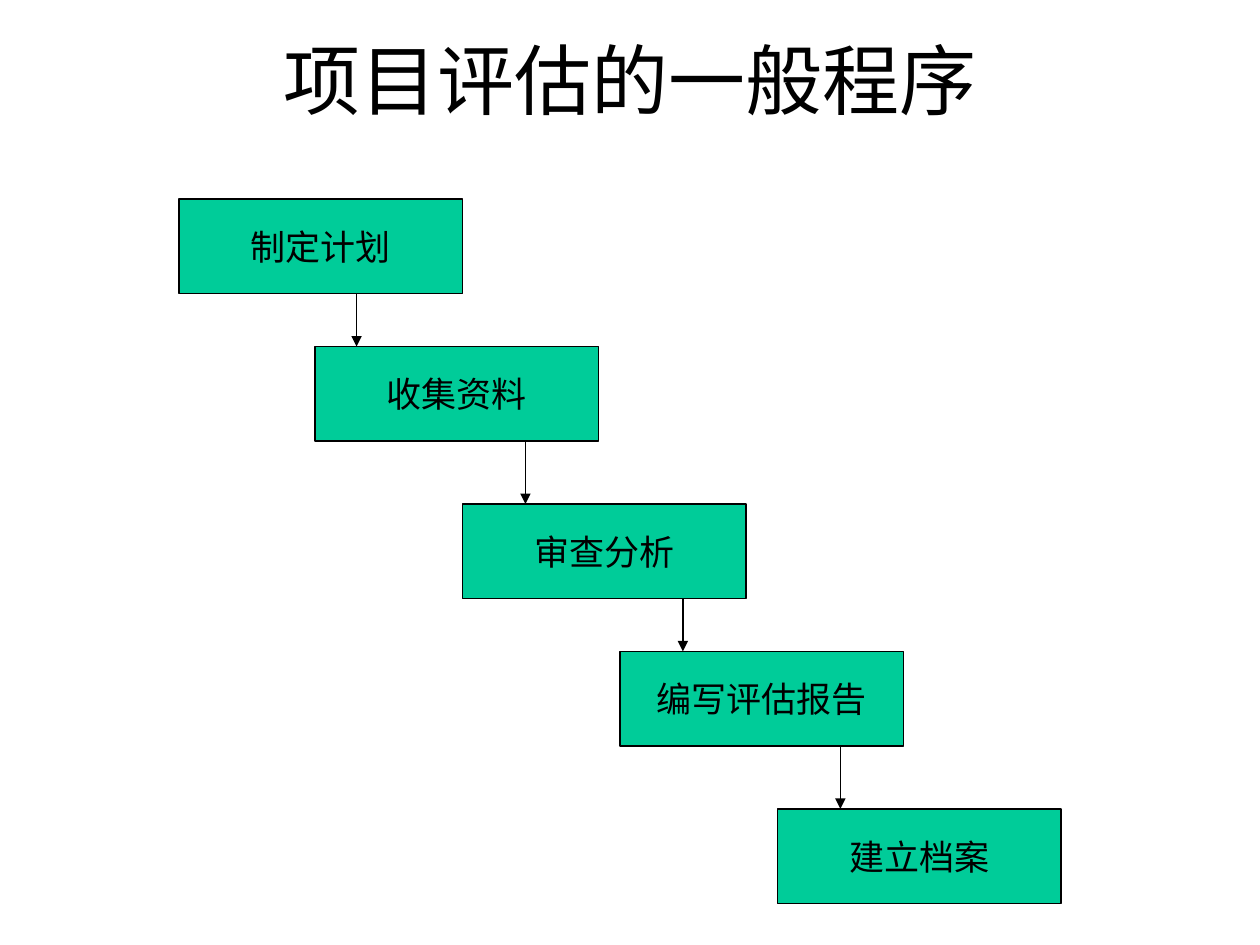
from lxml import etree
from pptx import Presentation
from pptx.dml.color import RGBColor
from pptx.enum.shapes import MSO_CONNECTOR, MSO_SHAPE
from pptx.enum.text import MSO_ANCHOR, PP_ALIGN
from pptx.oxml.ns import qn
from pptx.util import Inches, Pt

RECTANGLE = MSO_SHAPE.RECTANGLE
STRAIGHT = MSO_CONNECTOR.STRAIGHT
MIDDLE = MSO_ANCHOR.MIDDLE
CENTER = PP_ALIGN.CENTER

TITLE_ONLY = 5
FONT = "Times New Roman"
BLACK, GREEN, WHITE = "000000", "00CC99", "FFFFFF"
STEP_WIDTH, STEP_HEIGHT = 2.25, 0.75

# Each step: text, left, top, and where its outgoing arrow leaves
STEPS = [
    ("制定计划", 1.42, 1.58, 2.83),
    ("收集资料", 2.5, 2.75, 4.17),
    ("审查分析", 3.67, 4, 5.42),
    ("编写评估报告", 4.92, 5.17, 6.67),
    ("建立档案", 6.17, 6.42, None),
]


def color(value):
    return RGBColor.from_string(value)


def write_text(box, text, size, wrap):
    frame = box.text_frame
    frame_format = {
        "word_wrap": wrap,
        "vertical_anchor": MIDDLE,
        "margin_left": Inches(0.1),
        "margin_right": Inches(0.1),
        "margin_top": Inches(0.05),
        "margin_bottom": Inches(0.05),
    }
    for name, value in frame_format.items():
        setattr(frame, name, value)
    para = frame.paragraphs[0]
    para.alignment = CENTER
    span = para.add_run()
    span.text = text
    for name, value in {"name": FONT, "size": Pt(size), "bold": False}.items():
        setattr(span.font, name, value)
    span.font.color.rgb = color(BLACK)


def set_line(item):
    item.line.color.rgb = color(BLACK)
    item.line.width = Pt(0.75)


def add_title(page, text, left, top, width, height):
    title = page.shapes.title
    place = {"left": left, "top": top, "width": width, "height": height}
    for name, value in place.items():
        setattr(title, name, Inches(value))
    write_text(title, text, 44, True)


def add_step(page, text, left, top):
    place = map(Inches, (left, top, STEP_WIDTH, STEP_HEIGHT))
    box = page.shapes.add_shape(RECTANGLE, *place)
    box.shadow.inherit = False
    box.fill.solid()
    box.fill.fore_color.rgb = color(GREEN)
    set_line(box)
    write_text(box, text, 20, False)


def add_down_arrow(page, x, top, bottom):
    ends = map(Inches, (x, top, x, bottom))
    arrow = page.shapes.add_connector(STRAIGHT, *ends)
    set_line(arrow)
    etree.SubElement(arrow.line._get_or_add_ln(), qn("a:tailEnd"), type="triangle")
    etree.SubElement(arrow._element.spPr, qn("a:effectLst"))


def add_staircase(page, steps):
    # Boxes
    for text, left, top, _ in steps:
        add_step(page, text, left, top)
    # Arrows from each box down to the next
    for (_, _, top, arrow_x), (_, _, next_top, _) in zip(steps, steps[1:]):
        add_down_arrow(page, arrow_x, top + STEP_HEIGHT, next_top)


def main():
    deck = Presentation()
    deck.slide_width, deck.slide_height = Inches(10), Inches(7.5)
    page = deck.slides.add_slide(deck.slide_layouts[TITLE_ONLY])
    page.background.fill.solid()
    page.background.fill.fore_color.rgb = color(WHITE)
    add_title(page, "项目评估的一般程序", 0.75, 0, 8.5, 1.25)
    add_staircase(page, STEPS)
    deck.save("out.pptx")


if __name__ == "__main__":
    main()
